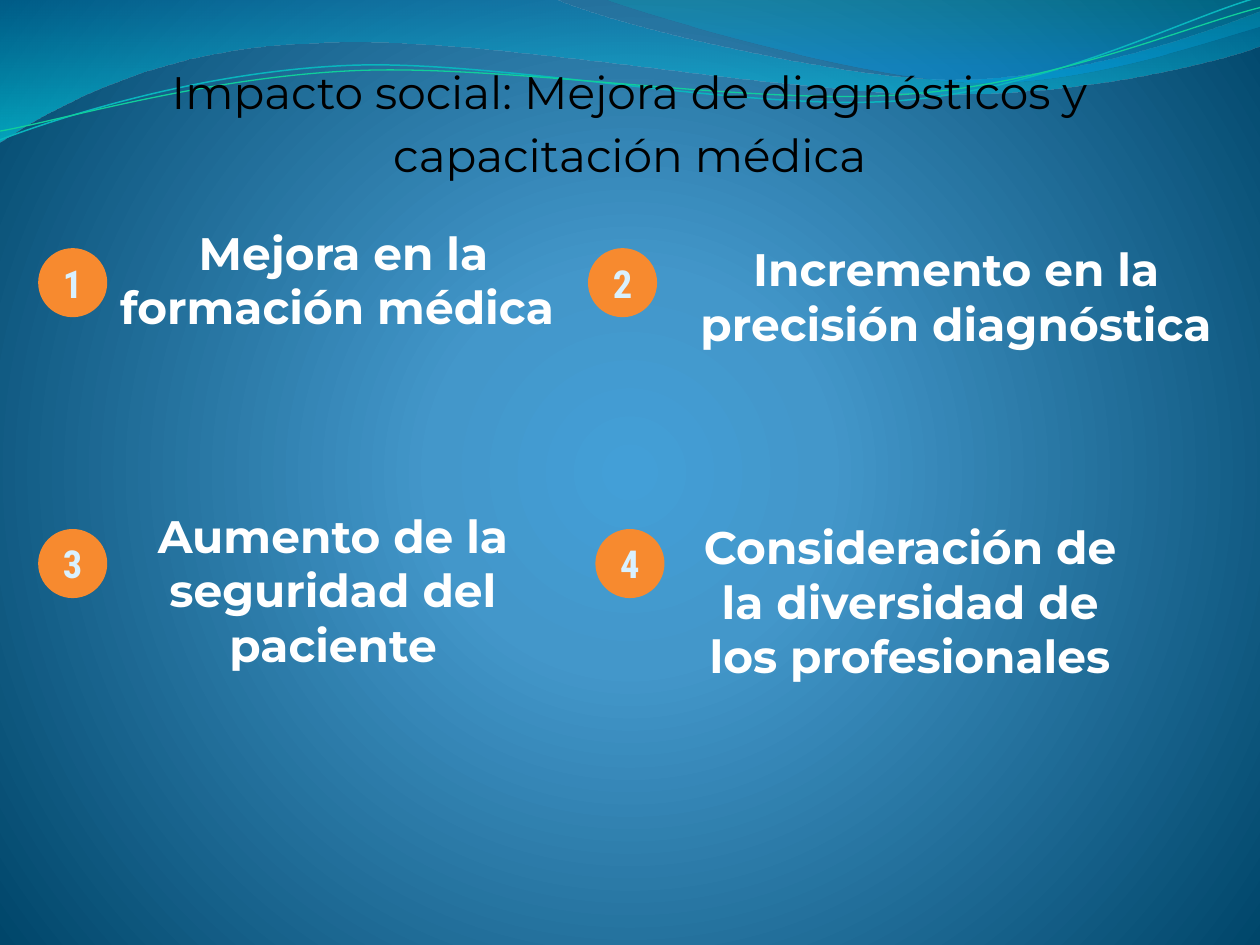
from lxml import etree
from pptx import Presentation
from pptx.dml import color
from pptx.enum import shapes, text
from pptx.oxml import ns
from pptx.util import Pt


def rgb(value):
    return color.RGBColor.from_string(value)


def set_gradient(fill, parent, stops, direction):
    """Fill with (position %, colour, opacity %) stops."""
    fill.gradient()
    old = parent.find(".//" + ns.qn("a:gradFill"))
    gs = "".join(
        f'<a:gs pos="{pos * 1000}"><a:srgbClr val="{c}">'
        f'<a:alpha val="{alpha * 1000}"/></a:srgbClr></a:gs>'
        for pos, c, alpha in stops)
    new = etree.fromstring(
        f'<a:gradFill {ns.nsdecls("a")} rotWithShape="1">'
        f'<a:gsLst>{gs}</a:gsLst>{direction}</a:gradFill>')
    old.getparent().replace(old, new)


prs = Presentation()
prs.slide_width, prs.slide_height = Pt(720), Pt(540)
s = prs.slides.add_slide(prs.slide_layouts[6])

# Background: radial blue
set_gradient(
    s.background.fill, s._element,
    [(0, "439FD7", 100), (25, "4397CA", 100), (100, "00466A", 100)],
    '<a:path path="circle"><a:fillToRect l="50000" t="50000" r="50000" b="50000"/></a:path>')

# Waves: start point, then segments (2 numbers = line, 6 = Bezier curve),
# then gradient stops for a band or (colour, width) for a line
waves = [
    ((0, 0),
     [(316.8, -0.7), (342.7, 12.2, 478.1, 45.4, 545.8, 45.4),
      (614.2, 45.4, 689.8, 18.7, 720, 6.5), (720.7, 25.9),
      (707.8, 31.7, 626.4, 54.7, 537.1, 54), (447.8, 54, 275, 20.2, 185, 24.5),
      (92.9, 25.9, 33.1, 59.8, -0.7, 81.4)],
     [(0, "0079AD", 44), (100, "00E9F7", 55)], None),
    ((344.9, -0.7),
     [(366.5, 7.9, 491, 44.6, 553.7, 46.8), (616.3, 49.7, 691.9, 23, 720, 15.1),
      (720, 0)],
     [(0, "00ABB4", 29), (80, "0099E4", 44), (100, "0099E4", 44)], None),
    ((0, 79.9),
     [(34.6, 67, 113.8, 41, 199.4, 37.4), (284.4, 33.8, 427, 64.1, 513.4, 57.6),
      (599.8, 51.1, 675.4, 10.8, 718.6, -1.4)],
     None, ("09B6BE", 0.85)),
    ((0, 74.9),
     [(33.8, 69.1, 118.1, 43.9, 203.8, 40.3), (290.2, 36.7, 429.8, 60.5, 516.2, 54),
      (601.9, 48.2, 677.5, 15.1, 720, 4.3)],
     None, ("10CF9B", 0.75)),
]
for start, segments, stops, line in waves:
    fb = s.shapes.build_freeform(Pt(start[0]), Pt(start[1]))
    fb.add_line_segments([(Pt(seg[-2]), Pt(seg[-1])) for seg in segments],
                         close=bool(stops))
    sp = fb.convert_to_shape()
    sp.shadow.inherit = False
    # Turn the curved segments into Bezier curves
    for node, seg in zip(list(sp._element.iter(ns.qn("a:lnTo"))), segments):
        if len(seg) == 6:
            curve = etree.SubElement(node.getparent(), ns.qn("a:cubicBezTo"))
            for x, y in zip(seg[::2], seg[1::2]):
                etree.SubElement(curve, ns.qn("a:pt"),
                                 x=str(Pt(x) - sp.left), y=str(Pt(y) - sp.top))
            node.getparent().replace(node, curve)
    if stops:
        set_gradient(sp.fill, sp._element, stops, '<a:lin ang="5400000" scaled="0"/>')
        sp.line.fill.background()
    else:
        sp.fill.background()
        sp.line.color.rgb = rgb(line[0])
        sp.line.width = Pt(line[1])

# Text styles: font, size, colour, bold, anchor, margins (left, top, right, bottom)
TOP, MIDDLE, BOTTOM = (text.MSO_ANCHOR.TOP, text.MSO_ANCHOR.MIDDLE,
                       text.MSO_ANCHOR.BOTTOM)
EVEN, TIGHT = (7.2, 7.2, 7.2, 7.2), (0, 3.6, 0, 0)
styles = {
    "title": ("Montserrat", 26, "000000", False, TOP, EVEN),
    "number": ("Roboto Condensed", 22, "D9F1FF", True, MIDDLE, EVEN),
    "upper": ("Montserrat", 26, "FFFFFF", True, BOTTOM, TIGHT),
    "lower": ("Montserrat", 26, "FFFFFF", True, TOP, EVEN),
}

# Title, then each numbered circle with its heading
SIZE = 39.5
ROW1, ROW2 = 141.8, 302.3
items = [
    ("title", "Impacto social: Mejora de diagnósticos y capacitación médica",
     (40, 24.8, 640, 147.6)),
    ("number", "1", (21.8, ROW1, SIZE, SIZE)),
    ("upper", "Mejora en la formación médica ", (61.4, 132.5, 270, 58.3)),
    ("number", "2", (336, ROW1, SIZE, SIZE)),
    ("upper", "Incremento en la precisión diagnóstica", (385.2, ROW1, 322.6, 58.3)),
    ("number", "3", (21.8, ROW2, SIZE, SIZE)),
    ("lower", "Aumento de la seguridad del paciente", (55.4, 283, 270, 108.7)),
    ("number", "4", (340.2, ROW2, SIZE, SIZE)),
    ("lower", "Consideración de la diversidad de los profesionales",
     (385.2, 289.4, 270, 108.7)),
]
for kind, words, box in items:
    font, size, ink, bold, anchor, margins = styles[kind]
    box = [Pt(v) for v in box]
    if kind == "number":
        sp = s.shapes.add_shape(shapes.MSO_SHAPE.OVAL, *box)
        sp.shadow.inherit = False
        sp.fill.solid()
        sp.fill.fore_color.rgb = rgb("F78A2F")
        sp.line.fill.background()
    else:
        sp = s.shapes.add_textbox(*box)
    tf = sp.text_frame
    tf.word_wrap = True
    tf.vertical_anchor = anchor
    tf.margin_left, tf.margin_top, tf.margin_right, tf.margin_bottom = map(Pt, margins)
    p = tf.paragraphs[0]
    p.text = words
    p.alignment = text.PP_ALIGN.CENTER
    if kind == "title":
        p.line_spacing = 1.15
        p.space_before = Pt(12)
    f = p.runs[0].font
    f.name, f.size, f.bold = font, Pt(size), bold
    f.color.rgb = rgb(ink)

prs.save("out.pptx")
